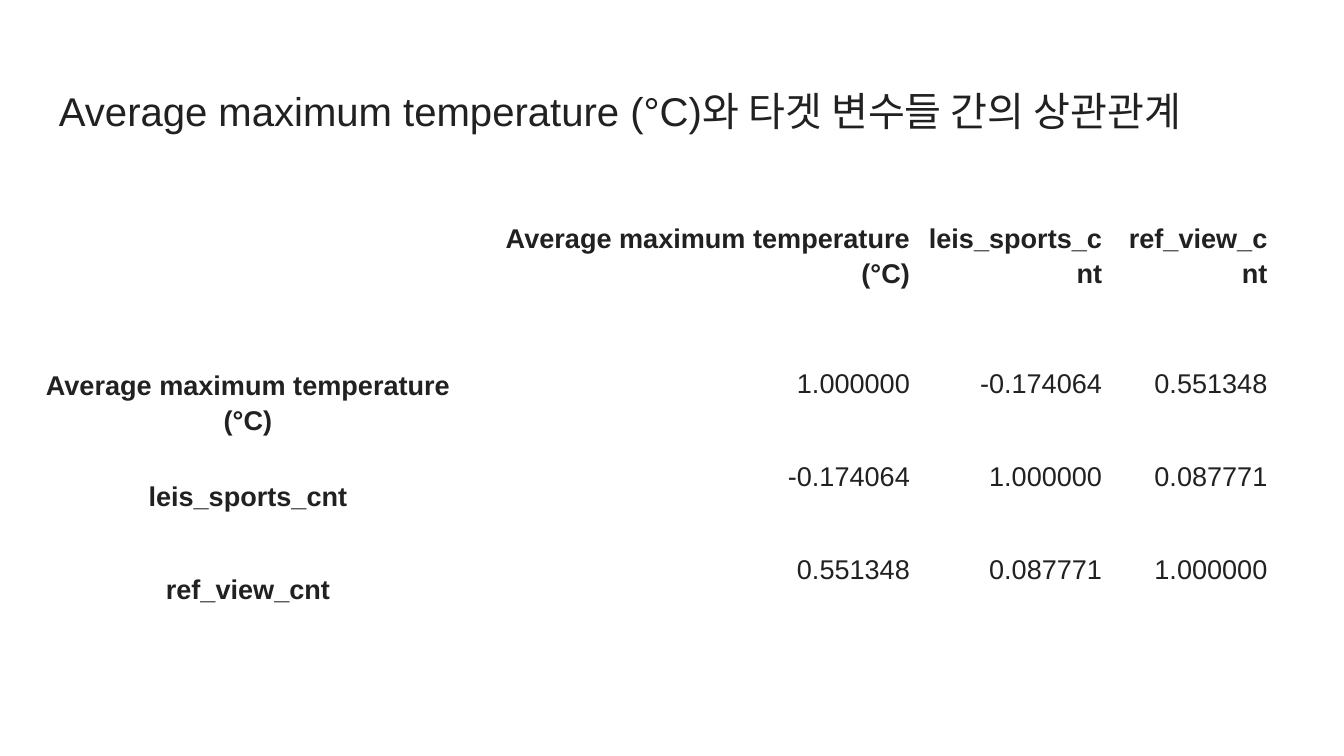
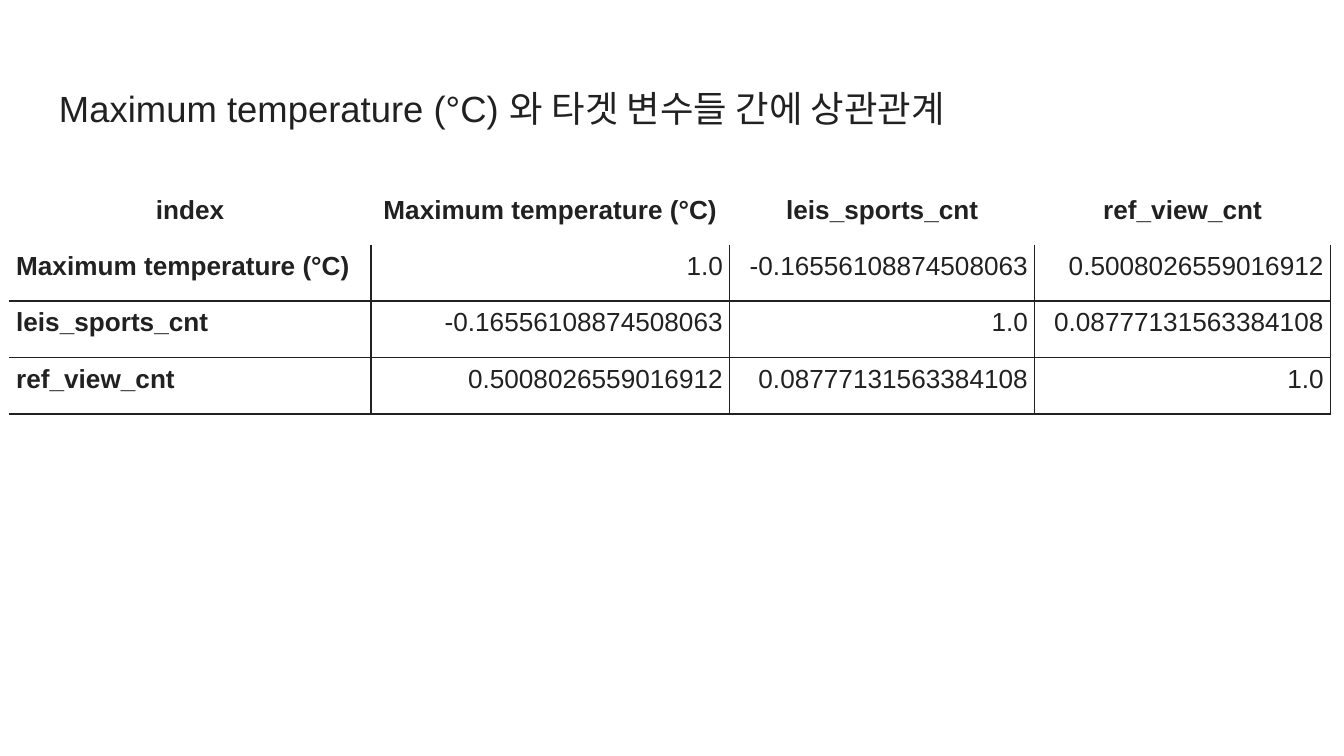
"""Builds two slides of correlation tables between temperature and target variables."""
import dataclasses

import lxml.etree
import pptx
import pptx.dml.color
import pptx.enum.text
import pptx.oxml.ns
import pptx.util

ALIGN = pptx.enum.text.PP_ALIGN
ANCHOR = pptx.enum.text.MSO_ANCHOR
TARGETS = ["leis_sports_cnt", "ref_view_cnt"]


@dataclasses.dataclass(frozen=True)
class Theme:
    font: str = "Arial"
    ink: str = "212121"
    paper: str = "FFFFFF"
    line_spacing: float = 1.15
    title_gap: float = 7
    rule_width: float = 0.75
    plain_table: str = "{2D5ABB26-0587-4C30-8999-92F81FD0307C}"


@dataclasses.dataclass(frozen=True)
class TableLook:
    size: float
    margins: tuple
    header_align: int
    label_align: int
    label_anchor: int
    ruled: bool = False


class Deck:
    def __init__(self, theme):
        self.theme = theme
        self.presentation = pptx.Presentation()
        self.presentation.slide_width = pptx.util.Inches(10)
        self.presentation.slide_height = pptx.util.Inches(10 * 9 / 16)
        self.slide = None

    def columns(self, count):
        return round(self.presentation.slide_width * count / 100)

    def rows(self, count):
        return round(self.presentation.slide_height * count / 100)

    def color(self, name):
        return pptx.dml.color.RGBColor.from_string(name)

    def add_slide(self):
        self.slide = self.presentation.slides.add_slide(self.presentation.slide_layouts[6])
        self.slide.background.fill.solid()
        self.slide.background.fill.fore_color.rgb = self.color(self.theme.paper)

    def set_text(self, text_frame, text, size, align, bold=False):
        text_frame.text = text
        paragraph = text_frame.paragraphs[0]
        paragraph.alignment = align
        paragraph.line_spacing = self.theme.line_spacing
        for run in paragraph.runs:
            run.font.name = self.theme.font
            run.font.size = pptx.util.Pt(size)
            run.font.bold = bold
            run.font.color.rgb = self.color(self.theme.ink)
        return paragraph

    def title(self, text, size):
        shape = self.slide.shapes.add_textbox(
            self.columns(3.4), self.rows(8.71), self.columns(93.2), self.rows(11.2))
        text_frame = shape.text_frame
        text_frame.word_wrap = True
        text_frame.margin_left = text_frame.margin_right = self.columns(1)
        text_frame.margin_top = text_frame.margin_bottom = self.rows(1.78)
        paragraph = self.set_text(text_frame, text, size, ALIGN.LEFT)
        paragraph.space_after = pptx.util.Pt(self.theme.title_gap)

    def rule(self, cell, sides):
        properties = cell._tc.get_or_add_tcPr()
        qn = pptx.oxml.ns.qn
        for side in sides:
            line = lxml.etree.SubElement(
                properties, qn(f"a:ln{side}"), w=str(pptx.util.Pt(self.theme.rule_width)))
            fill = lxml.etree.SubElement(line, qn("a:solidFill"))
            lxml.etree.SubElement(fill, qn("a:srgbClr"), val=self.theme.ink)

    def table(self, left, top, widths, heights, data, look):
        frame = self.slide.shapes.add_table(
            len(heights), len(widths), self.columns(left), self.rows(top),
            self.columns(sum(widths)), self.rows(sum(heights)))
        table = frame.table
        table.first_row = table.horz_banding = False
        table._tbl.tblPr.find(pptx.oxml.ns.qn("a:tableStyleId")).text = self.theme.plain_table
        for column, width in zip(table.columns, widths):
            column.width = self.columns(width)
        for row, height in zip(table.rows, heights):
            row.height = self.rows(height)
        for r, values in enumerate(data):
            for c, value in enumerate(values):
                self.table_cell(table.cell(r, c), r, c, value, look)

    def table_cell(self, cell, r, c, value, look):
        if look.ruled and r:
            self.rule(cell, ("L" if c else "") + "R" + ("T" if r > 1 else "") + "B")
        cell.fill.solid()
        cell.fill.fore_color.rgb = self.color(self.theme.paper)
        across, down = look.margins
        cell.margin_left = cell.margin_right = self.columns(across)
        cell.margin_top = cell.margin_bottom = self.rows(down)
        is_label = r > 0 and c == 0
        cell.vertical_anchor = look.label_anchor if is_label else ANCHOR.TOP
        align = look.header_align if r == 0 else look.label_align if c == 0 else ALIGN.RIGHT
        self.set_text(cell.text_frame, value, look.size, align, bold=r == 0 or c == 0)


def correlation(corner, variable, one, with_sports, with_views, between_targets):
    """Lays out a symmetric correlation matrix with its labels."""
    names = [variable, *TARGETS]
    matrix = [[one, with_sports, with_views],
              [with_sports, one, between_targets],
              [with_views, between_targets, one]]
    return [[corner, *names]] + [[name, *values] for name, values in zip(names, matrix)]


def main():
    deck = Deck(Theme())

    deck.add_slide()
    deck.title("Average maximum temperature (°C)와 타겟 변수들 간의 상관관계", 21.5)
    deck.table(
        1.8, 27.73, [33.3, 33.3, 14.3, 12.3], [19.2] + [12.27] * 3,
        correlation("", "Average maximum temperature (°C)",
                    "1.000000", "-0.174064", "0.551348", "0.087771"),
        TableLook(14.5, (0.7, 1.24), ALIGN.RIGHT, ALIGN.CENTER, ANCHOR.MIDDLE))

    deck.add_slide()
    deck.title("Maximum temperature (°C) 와 타겟 변수들 간에 상관관계", 19.5)
    deck.table(
        0.7, 24.89, [26.9, 26.7, 22.7, 22], [7.47] * 4,
        correlation("index", "Maximum temperature (°C)",
                    "1.0", "-0.16556108874508063", "0.5008026559016912",
                    "0.08777131563384108"),
        TableLook(14, (0.5, 0.36), ALIGN.CENTER, ALIGN.LEFT, ANCHOR.TOP, ruled=True))

    deck.presentation.save("out.pptx")


if __name__ == "__main__":
    main()
